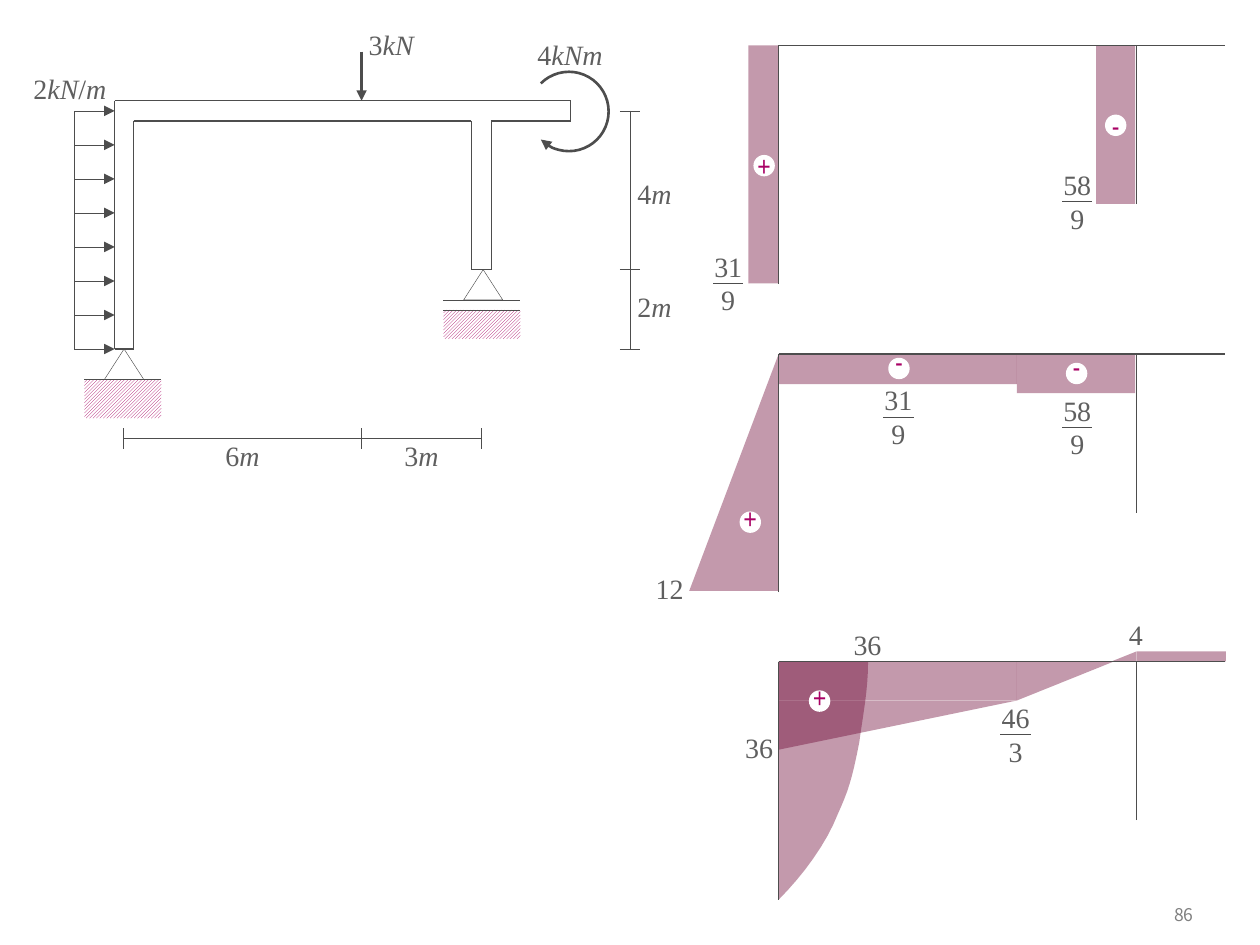
import itertools
import pptx
import pptx.util
import pptx.dml.color
import pptx.dml.fill
import pptx.enum.dml
import pptx.enum.shapes
import pptx.enum.text
import pptx.oxml
import pptx.oxml.ns

Inches = pptx.util.Inches
Pt = pptx.util.Pt
RGB = pptx.dml.color.RGBColor.from_string
SHAPE = pptx.enum.shapes.MSO_SHAPE
qn = pptx.oxml.ns.qn
COLORS = {"line": "4D4D4D", "text": "5F5F5F", "area": "6B0131",
          "accent": "A90165", "white": "FFFFFF", "number": "808080"}

prs = pptx.Presentation()
prs.slide_width, prs.slide_height = Inches(10), Inches(7.5)
s = prs.slides.add_slide(prs.slide_layouts[6])


def add_line(x1, y1, x2, y2, width=0.25, arrow=False):
    c = s.shapes.add_connector(pptx.enum.shapes.MSO_CONNECTOR.STRAIGHT,
                               Inches(x1), Inches(y1), Inches(x2), Inches(y2))
    c.line.color.rgb = RGB(COLORS["line"])
    c.line.width = Pt(width)
    if arrow:
        c.line._get_or_add_ln().append(pptx.oxml.parse_xml(
            f'<a:tailEnd {pptx.oxml.ns.nsdecls("a")} type="triangle"/>'))
    c._element.spPr.append(pptx.oxml.parse_xml(f'<a:effectLst {pptx.oxml.ns.nsdecls("a")}/>'))


def add_label(text, x, y, w, h=0.27):
    tf = s.shapes.add_textbox(Inches(x), Inches(y), Inches(w), Inches(h)).text_frame
    tf.word_wrap = True
    tf.margin_left = tf.margin_right = tf.margin_top = tf.margin_bottom = 0
    p = tf.paragraphs[0]
    p.alignment = pptx.enum.text.PP_ALIGN.CENTER
    if "\v" in text:
        p.text = text
    else:
        for italic, chars in itertools.groupby(text, str.isalpha):
            r = p.add_run()
            r.text = "".join(chars)
            r.font.italic = italic
    for r in p.runs:
        r.font.size = Pt(16)
        r.font.name = "Times New Roman"
        r.font.color.rgb = RGB(COLORS["text"])


frame = [(1.06, 0.96, 3.74, 0.96), (0.91, 0.8, 4.53, 0.8), (0.91, 0.8, 0.91, 2.77),
         (1.06, 0.96, 1.06, 2.77), (3.74, 2.14, 3.9, 2.14), (3.74, 0.96, 3.74, 2.14),
         (3.9, 0.96, 3.9, 2.14), (0.91, 2.77, 1.06, 2.77), (3.9, 0.96, 4.53, 0.96),
         (4.53, 0.8, 4.53, 0.96)]
for ends in frame:
    add_line(*ends, 0.75)

add_line(0.98, 3.48, 3.82, 3.48)
for x in (0.98, 2.87, 3.82):
    add_line(x, 3.4, x, 3.56)
add_line(5, 0.88, 5, 2.77)
for y in (0.88, 2.14, 2.77):
    add_line(4.92, y, 5.08, y)

supports = [(0.67, 2.77, 3.01, 0.31), (3.52, 2.14, 2.46, 0.23)]
for x, pin_y, ground_y, ground_h in supports:
    ground = s.shapes.add_shape(SHAPE.RECTANGLE, Inches(x), Inches(ground_y), Inches(0.61), Inches(ground_h))
    ground.fill.patterned()
    ground.fill.pattern = pptx.enum.dml.MSO_PATTERN.LIGHT_UPWARD_DIAGONAL
    ground.fill.fore_color.rgb = RGB(COLORS["accent"])
    ground.fill.back_color.rgb = RGB(COLORS["white"])
    ground.line.fill.background()
    ground.shadow.inherit = False
    add_line(x, ground_y, x + 0.61, ground_y)
    pin = s.shapes.add_shape(SHAPE.ISOSCELES_TRIANGLE, Inches(x + 0.16), Inches(pin_y), Inches(0.31), Inches(0.24))
    pin.fill.background()
    pin.line.color.rgb = RGB(COLORS["line"])
    pin.line.width = Pt(0.25)
    pin.shadow.inherit = False
add_line(3.52, 2.38, 4.13, 2.38)

add_line(2.87, 0.41, 2.87, 0.8, 1.5, True)
add_line(0.59, 2.77, 0.59, 0.88)
for i in range(8):
    y = 0.88 + 0.27 * i
    add_line(0.59, y, 0.91, y, arrow=True)

moment = s.shapes.add_shape(SHAPE.ARC, Inches(4.2), Inches(0.57), Inches(0.63), Inches(0.63))
moment.adjustments[0], moment.adjustments[1] = 54, 0
moment.rotation = 225
moment._element.spPr.find(qn("a:xfrm")).set("flipV", "1")
moment.fill.background()
moment.line.color.rgb = RGB(COLORS["line"])
moment.line.width = Pt(1.5)
moment.line._get_or_add_ln().append(pptx.oxml.parse_xml(
    f'<a:headEnd {pptx.oxml.ns.nsdecls("a")} type="triangle"/>'))
moment.shadow.inherit = False

curve = [(6.18, 5.25), (6.18, 7.14)]
beziers = [((6.18, 7.14), (6.38, 6.94), (6.56, 6.69), (6.65, 6.46)),
           ((6.65, 6.46), (6.73, 6.28), (6.76, 6.2), (6.82, 5.89)),
           ((6.82, 5.89), (6.85, 5.67), (6.89, 5.48), (6.89, 5.25))]
for a, b, c, d in beziers:
    for t in (i / 8 for i in range(1, 9)):
        curve.append(tuple((1 - t) ** 3 * a[k] + 3 * (1 - t) ** 2 * t * b[k]
                           + 3 * (1 - t) * t ** 2 * c[k] + t ** 3 * d[k] for k in (0, 1)))

areas = [s.shapes.add_shape(SHAPE.RECTANGLE, *map(Inches, box)) for box in (
    (5.94, 0.36, 0.24, 1.89), (8.7, 0.36, 0.31, 1.26), (6.18, 2.81, 1.89, 0.24),
    (8.07, 2.81, 0.94, 0.31), (9.02, 5.17, 0.71, 0.08), (6.18, 5.25, 1.89, 0.31))]
for points in ([(6.18, 4.69), (5.47, 4.69), (6.18, 2.81)], curve,
               [(6.18, 5.56), (6.18, 5.95), (8.07, 5.56)],
               [(8.07, 5.25), (8.07, 5.56), (8.84, 5.25)],
               [(9.02, 5.25), (9.02, 5.17), (8.82, 5.25)]):
    points = [(Inches(x), Inches(y)) for x, y in points]
    outline = s.shapes.build_freeform(*points[0])
    outline.add_line_segments(points[1:])
    areas.append(outline.convert_to_shape())
for sp in areas:
    sp.fill.solid()
    sp.fill.fore_color.rgb = RGB(COLORS["area"])
    color = sp._element.spPr.find(qn("a:solidFill"))[0]
    color.append(pptx.oxml.parse_xml(f'<a:alpha {pptx.oxml.ns.nsdecls("a")} val="40000"/>'))
    sp.line.fill.background()
    sp.shadow.inherit = False

for top in (0.36, 2.81, 5.25):
    add_line(6.18, top, 9.72, top, 0.75)
    add_line(6.18, top + 1.89, 6.18, top, 0.75)
    add_line(9.02, top + 1.26, 9.02, top, 0.75)

signs = [("+", 5.98, 1.23, False), ("-", 8.77, 0.91, False), ("+", 5.87, 4.06, True),
         ("-", 8.46, 2.88, True), ("-", 7.05, 2.84, True), ("+", 6.42, 5.48, True)]
for sign, x, y, flipped in signs:
    sp = s.shapes.add_shape(SHAPE.OVAL, Inches(x), Inches(y), Inches(0.17), Inches(0.17))
    if flipped:
        sp._element.spPr.find(qn("a:xfrm")).set("flipV", "1")
    sp.fill.solid()
    sp.fill.fore_color.rgb = RGB(COLORS["white"])
    sp.line.fill.background()
    sp.shadow.inherit = False
    tf = sp.text_frame
    tf.word_wrap = False
    tf.vertical_anchor = pptx.enum.text.MSO_ANCHOR.MIDDLE
    p = tf.paragraphs[0]
    p.text = sign
    p.alignment = pptx.enum.text.PP_ALIGN.CENTER
    r = p.runs[0]
    r.font.size = Pt(16)
    r.font.name = "Arial Narrow"
    r.font.color.rgb = RGB(COLORS["accent"])

for text, x, y in (("31\v9", 5.66, 1.98), ("58\v9", 8.43, 1.33), ("31\v9", 7.01, 3.04),
                   ("58\v9", 8.43, 3.12), ("46\v3", 7.94, 5.56)):
    add_label(text, x, y, 0.24, 0.53)
    add_line(x, y + 0.27, x + 0.24, y + 0.27)

for text, x, y, w in (("6m", 1.77, 3.48, 0.31), ("3m", 3.19, 3.48, 0.31), ("3kN", 2.87, 0.22, 0.47),
                      ("4m", 5, 1.4, 0.39), ("2m", 5, 2.3, 0.39), ("4kNm", 4.21, 0.3, 0.63),
                      ("2kN/m", 0.2, 0.57, 0.71), ("12", 5.16, 4.54, 0.31), ("36", 6.73, 4.98, 0.31),
                      ("36", 5.87, 5.8, 0.31), ("4", 8.86, 4.9, 0.31)):
    add_label(text, x, y, w)

tf = s.shapes.add_textbox(Inches(8.86), Inches(7.09), Inches(0.71), Inches(0.33)).text_frame
tf.word_wrap = True
tf.vertical_anchor = pptx.enum.text.MSO_ANCHOR.MIDDLE
p = tf.paragraphs[0]
p.text = "86"
p.alignment = pptx.enum.text.PP_ALIGN.RIGHT
r = p.runs[0]
r.font.size = Pt(10)
r.font.name = "Noto Sans CJK KR"
r.font.color.rgb = RGB(COLORS["number"])

prs.save("out.pptx")
